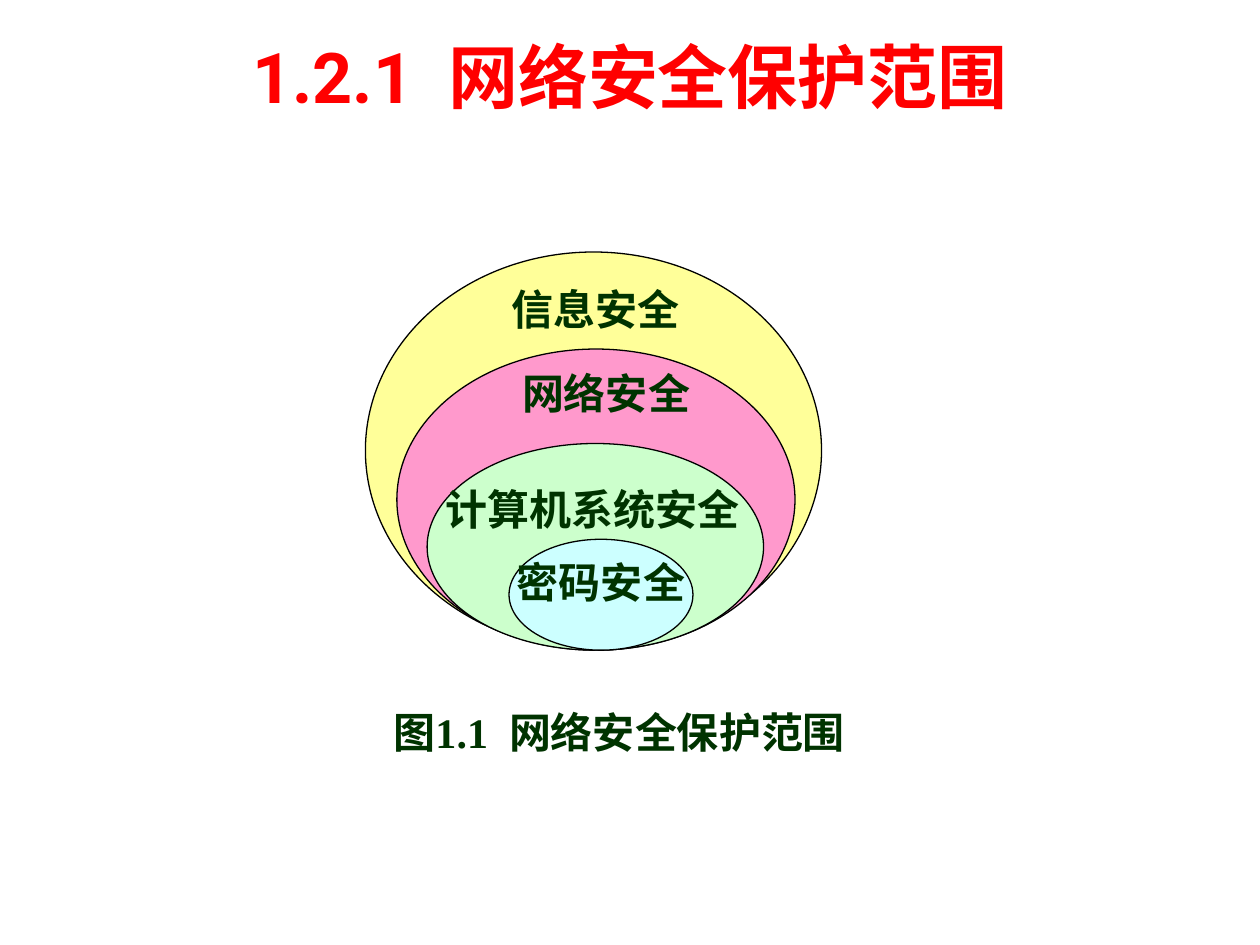
from dataclasses import dataclass

from pptx import Presentation
from pptx.dml.color import RGBColor
from pptx.enum.shapes import MSO_SHAPE
from pptx.enum.text import MSO_ANCHOR, MSO_AUTO_SIZE, PP_ALIGN
from pptx.util import Inches, Pt

OVAL = MSO_SHAPE.OVAL
CENTER = PP_ALIGN.CENTER
TOP, MIDDLE = MSO_ANCHOR.TOP, MSO_ANCHOR.MIDDLE
NO_AUTOFIT = MSO_AUTO_SIZE.NONE
TITLE_ONLY = 5


@dataclass(frozen=True)
class Theme:
    title_font: str = "Roboto"
    body_font: str = "Times New Roman"
    title_size: int = 40
    body_size: int = 24
    title: str = "FF0000"
    text: str = "003300"
    outline: str = "000000"
    information: str = "FFFF99"
    network: str = "FF99CC"
    computer: str = "CCFFCC"
    password: str = "CCFFFF"


THEME = Theme()

# Offsets from the diagram's corner: fill, oval box, label, label box
LAYERS = [
    (THEME.information, (0, 0, 3.62, 3.15), "信息安全", (1.1, 0.25, 1.46, 0.44)),
    (THEME.network, (0.25, 0.77, 3.16, 2.39), "网络安全", (1.18, 0.92, 1.46, 0.44)),
    (THEME.computer, (0.49, 1.52, 2.67, 1.64), "计算机系统安全", (0.56, 1.84, 2.48, 0.49)),
    (THEME.password, (1.14, 2.28, 1.46, 0.88), "密码安全", (1.14, 2.42, 1.46, 0.44)),
]


def rgb(color):
    return RGBColor.from_string(color)


def write(tf, text, font, size, color, anchor):
    """Write one bold, centred line into a text frame."""
    tf.word_wrap = True
    tf.auto_size = NO_AUTOFIT
    tf.vertical_anchor = anchor
    p = tf.paragraphs[0]
    p.alignment = CENTER
    r = p.add_run()
    r.text = text
    r.font.name = font
    r.font.size = Pt(size)
    r.font.bold = True
    r.font.color.rgb = rgb(color)
    return p


def add_title(s, text, left, top, width, height):
    sp = s.shapes.title
    sp.left, sp.top = Inches(left), Inches(top)
    sp.width, sp.height = Inches(width), Inches(height)
    p = write(sp.text_frame, text, THEME.title_font, THEME.title_size,
              THEME.title, MIDDLE)
    p.line_spacing = 0.8


def add_label(s, text, left, top, width, height):
    sp = s.shapes.add_textbox(Inches(left), Inches(top), Inches(width), Inches(height))
    tf = sp.text_frame
    tf.margin_left = tf.margin_top = tf.margin_right = tf.margin_bottom = 0
    write(tf, text, THEME.body_font, THEME.body_size, THEME.text, TOP)


def add_nested_ovals(s, left, top):
    # Ovals from the outermost scope to the innermost
    for fill, (x, y, w, h), _, _ in LAYERS:
        sp = s.shapes.add_shape(OVAL, Inches(left + x), Inches(top + y),
                                Inches(w), Inches(h))
        sp.shadow.inherit = False
        sp.fill.solid()
        sp.fill.fore_color.rgb = rgb(fill)
        sp.line.color.rgb = rgb(THEME.outline)
        sp.line.width = Pt(0.75)
    # Labels on top of all the ovals
    for _, _, text, (x, y, w, h) in LAYERS:
        add_label(s, text, left + x, top + y, w, h)


def main():
    prs = Presentation()
    prs.slide_width, prs.slide_height = Inches(10), Inches(7.5)
    s = prs.slides.add_slide(prs.slide_layouts[TITLE_ONLY])
    add_title(s, "1.2.1  网络安全保护范围", 0, 0.33, 10, 0.67)
    add_nested_ovals(s, 2.9, 2)
    # Figure caption
    add_label(s, "图1.1  网络安全保护范围", 2.58, 5.61, 4.67, 0.47)
    prs.save("out.pptx")


if __name__ == "__main__":
    main()
